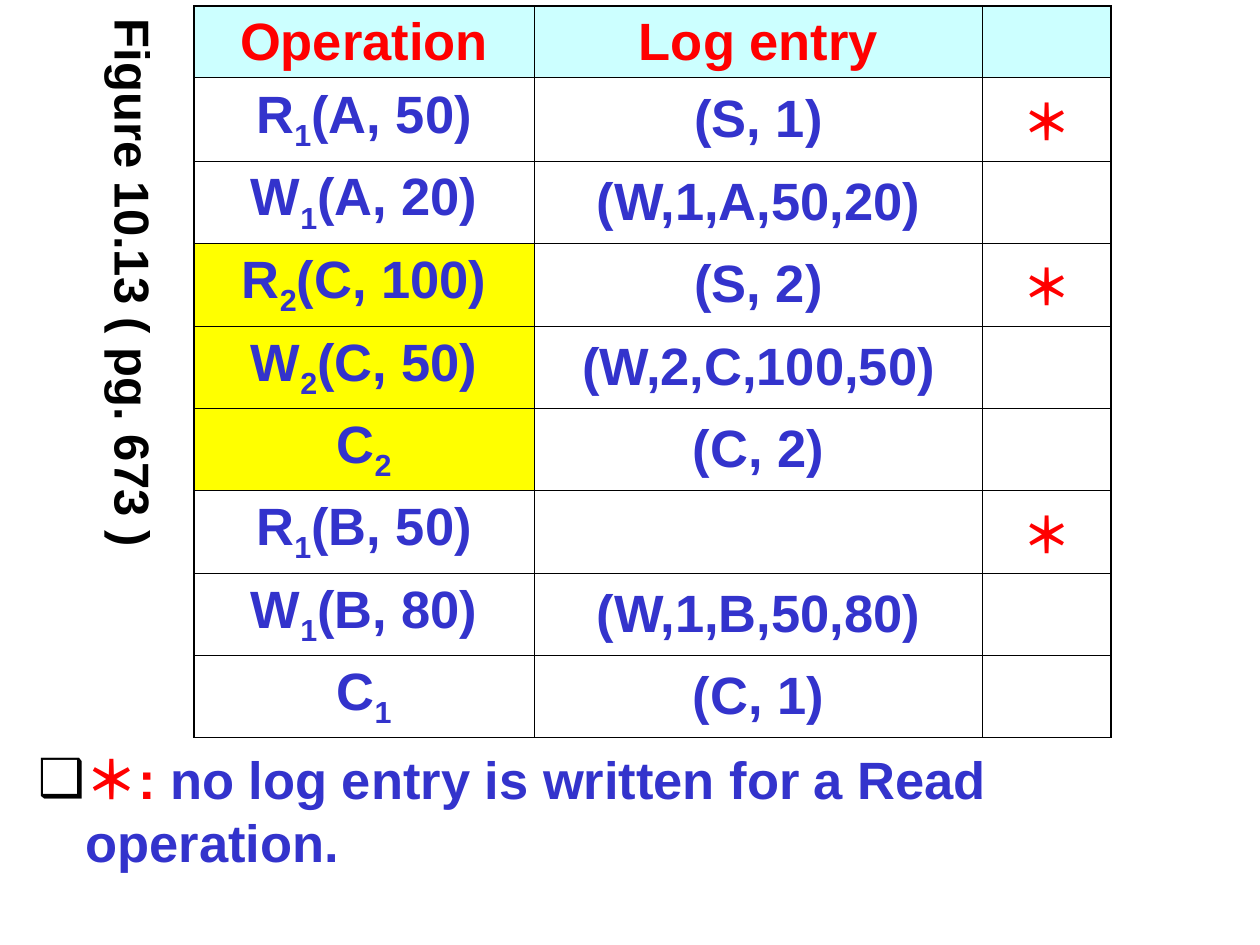
"""Build the log-entry table slide with its figure caption and reading note."""
from dataclasses import dataclass

from lxml import etree
from pptx import Presentation
from pptx.dml.color import RGBColor
from pptx.enum.text import MSO_ANCHOR, MSO_AUTO_SIZE, PP_ALIGN
from pptx.oxml.ns import qn
from pptx.util import Inches, Pt

CENTER = PP_ALIGN.CENTER
MIDDLE = MSO_ANCHOR.MIDDLE
TOP = MSO_ANCHOR.TOP
NO_FIT = MSO_AUTO_SIZE.NONE


@dataclass(frozen=True)
class Theme:
    font: str = "Arial"
    black: str = "000000"
    white: str = "FFFFFF"
    red: str = "FF0000"
    blue: str = "3333CC"
    cyan: str = "CCFFFF"
    yellow: str = "FFFF00"
    body_size: float = 30
    small_size: float = 28
    outer_line: float = 1.08
    inner_line: float = 0.45


HEADER = ("Operation", "Log entry", "")
STAR = "＊"
OPERATIONS = [
    (("R", "1", "(A, 50)"), "(S, 1)", STAR),
    (("W", "1", "(A, 20)"), "(W,1,A,50,20)", ""),
    (("R", "2", "(C, 100)"), "(S, 2)", STAR),
    (("W", "2", "(C, 50)"), "(W,2,C,100,50)", ""),
    (("C", "2", ""), "(C, 2)", ""),
    (("R", "1", "(B, 50)"), "", STAR),
    (("W", "1", "(B, 80)"), "(W,1,B,50,80)", ""),
    (("C", "1", ""), "(C, 1)", ""),
]
COL_WIDTHS = (2.7, 3.56, 1.02)
HEADER_HEIGHT, ROW_HEIGHT = 0.55, 0.65


class SlideBuilder:
    """Hold the theme and the current slide."""

    def __init__(self, s, theme):
        self.s = s
        self.theme = theme

    def run(self, p, text, color, size, subscript=False):
        """Add one bold run to a paragraph."""
        r = p.add_run()
        r.text = text
        values = {"name": self.theme.font, "size": Pt(size), "bold": True}
        for name, value in values.items():
            setattr(r.font, name, value)
        r.font.color.rgb = RGBColor.from_string(color)
        if subscript:
            r._r.get_or_add_rPr().set("baseline", "-25000")

    def caption(self, text, box):
        """Add a text box whose text runs downwards."""
        tf = self.s.shapes.add_textbox(*map(Inches, box)).text_frame
        values = {
            "word_wrap": True,
            "margin_left": Inches(0.05),
            "margin_right": Inches(0.05),
            "margin_top": Inches(0.1),
            "margin_bottom": Inches(0.1),
        }
        for name, value in values.items():
            setattr(tf, name, value)
        tf._txBody.bodyPr.set("vert", "eaVert")
        p = tf.paragraphs[0]
        p.alignment = CENTER
        self.run(p, text, self.theme.black, self.theme.small_size)

    def note(self, parts, box):
        """Fill the body placeholder with one bulleted paragraph."""
        sp = self.s.placeholders[1]
        for name, value in zip(("left", "top", "width", "height"), box):
            setattr(sp, name, Inches(value))
        sp.fill.solid()
        sp.fill.fore_color.rgb = RGBColor.from_string(self.theme.white)
        tf = sp.text_frame
        values = {"word_wrap": True, "auto_size": NO_FIT, "vertical_anchor": TOP}
        for name, value in values.items():
            setattr(tf, name, value)
        p = tf.paragraphs[0]
        p.space_before = Pt(0)
        pPr = p._p.get_or_add_pPr()
        pPr.set("marL", str(Inches(0.38)))
        pPr.set("indent", str(Inches(-0.38)))
        bullet_color = etree.SubElement(pPr, qn("a:buClr"))
        etree.SubElement(bullet_color, qn("a:srgbClr"), val=self.theme.black)
        etree.SubElement(pPr, qn("a:buChar"), char="❑")
        for text, color in parts:
            self.run(p, text, color, self.theme.body_size)

    def border(self, cell, side, width):
        """Draw one side of a cell."""
        tcPr = cell._tc.get_or_add_tcPr()
        ln = etree.SubElement(tcPr, qn(f"a:ln{side}"), w=str(Pt(width)))
        fill = etree.SubElement(ln, qn("a:solidFill"))
        etree.SubElement(fill, qn("a:srgbClr"), val=self.theme.black)

    def cell(self, cell, content, fill, color, size, outer_sides):
        """Format one table cell; the middle part of a tuple is a subscript."""
        for side in "LRTB":
            outer = side in outer_sides
            width = self.theme.outer_line if outer else self.theme.inner_line
            self.border(cell, side, width)
        cell.fill.solid()
        cell.fill.fore_color.rgb = RGBColor.from_string(fill)
        cell.vertical_anchor = MIDDLE
        p = cell.text_frame.paragraphs[0]
        p.alignment = CENTER
        parts = content if isinstance(content, tuple) else (content,)
        for i, text in enumerate(parts):
            if text:
                self.run(p, text, color, size, subscript=i == 1)

    def table(self, header, operations, left, top):
        """Add the table of operations and log entries."""
        theme = self.theme
        rows = [header, *operations]
        heights = [HEADER_HEIGHT] + [ROW_HEIGHT] * len(operations)
        size = (sum(COL_WIDTHS), sum(heights))
        frame = self.s.shapes.add_table(
            len(rows), len(header), *map(Inches, (left, top, *size)))
        tbl = frame.table
        tbl.first_row = tbl.horz_banding = False
        for column, width in zip(tbl.columns, COL_WIDTHS):
            column.width = Inches(width)
        for row, height in zip(tbl.rows, heights):
            row.height = Inches(height)
        last_row, last_col = len(rows) - 1, len(header) - 1
        for i, row in enumerate(rows):
            for j, content in enumerate(row):
                edges = {"L": j == 0, "R": j == last_col,
                         "T": i == 0, "B": i == last_row}
                outer_sides = [side for side, outer in edges.items() if outer]
                second_transaction = j == 0 and content[1] == "2"
                fill = theme.yellow if second_transaction else theme.white
                fill = theme.cyan if i == 0 else fill
                color = theme.red if i == 0 or content == STAR else theme.blue
                pt = theme.small_size if content == STAR else theme.body_size
                self.cell(tbl.cell(i, j), content, fill, color, pt, outer_sides)


def main():
    prs = Presentation()
    prs.slide_width, prs.slide_height = Inches(10), Inches(7.5)
    s = prs.slides.add_slide(prs.slide_layouts[1])
    title = s.shapes.title._element
    title.getparent().remove(title)
    theme = Theme()
    builder = SlideBuilder(s, theme)
    builder.caption("Figure 10.13 ( pg. 673 )", (0.69, 0.05, 0.66, 4.57))
    builder.note(
        [(f"{STAR}: ", theme.red),
         ("no log entry is written for a Read operation.", theme.blue)],
        (0.2, 5.88, 9.77, 1.63))
    builder.table(HEADER, OPERATIONS, 1.54, 0.05)
    prs.save("out.pptx")


if __name__ == "__main__":
    main()
